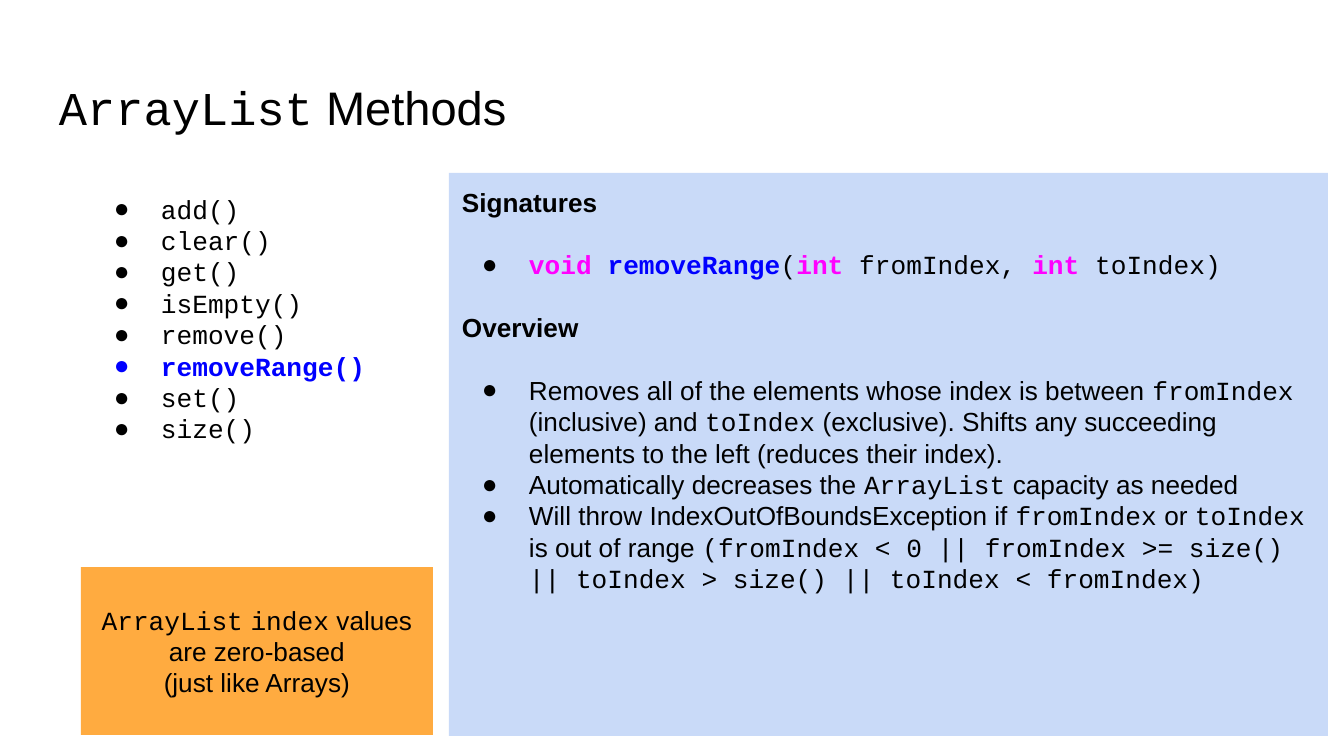
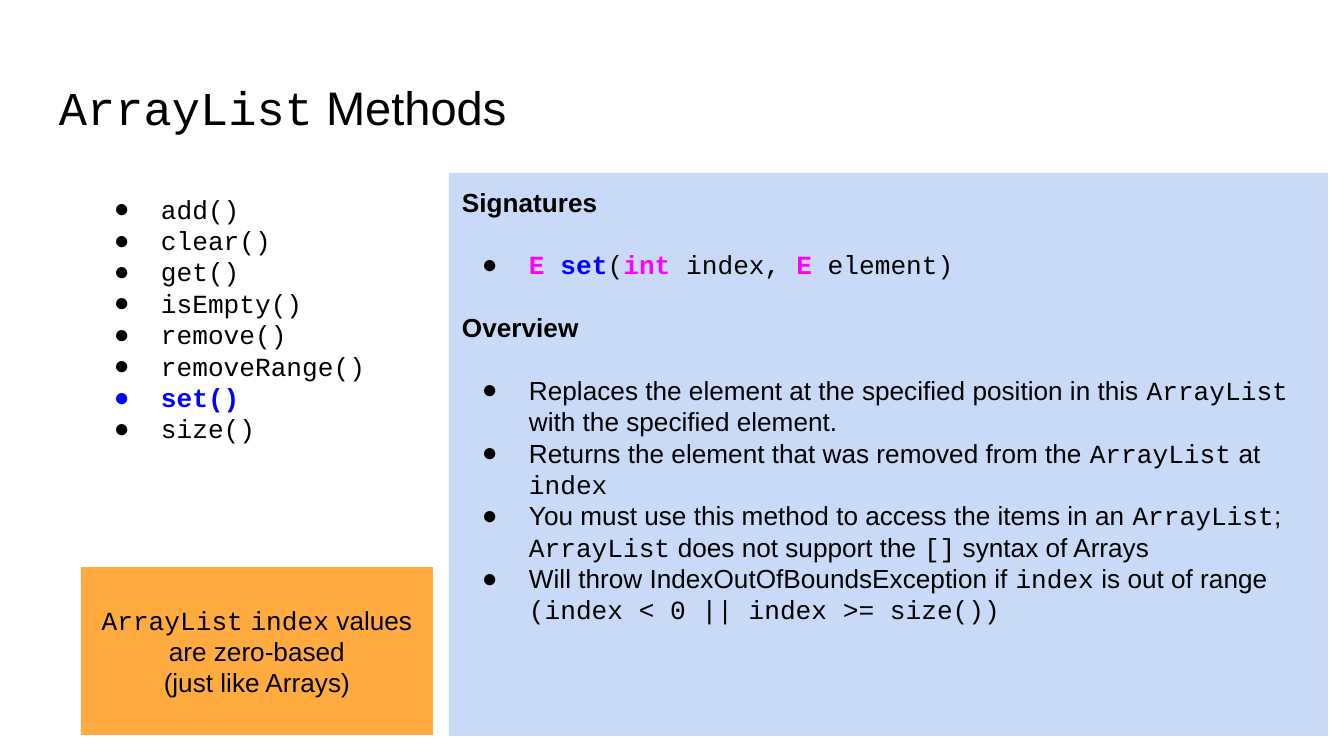
from pptx import Presentation
from pptx.dml.color import RGBColor
from pptx.enum.shapes import MSO_SHAPE
from pptx.enum.text import MSO_ANCHOR, MSO_AUTO_SIZE, PP_ALIGN
from pptx.oxml import parse_xml
from pptx.oxml.ns import nsdecls
from pptx.util import Emu, Pt

COLORS = {"text": "000000", "type": "FF00FF", "name": "0000FF",
          "panel": "C9DAF8", "callout": "FFAB40"}
SANS, CODE = "Arial", "Courier New"
BODY_SIZE, TITLE_SIZE, BLANK_LINE = 14, 25.2, 16.8
MARGIN, INDENT, HANG = 13, 67, 47
METHODS = ["add()", "clear()", "get()", "isEmpty()", "remove()",
           "removeRange()", "set()", "size()"]
PAGES = [
    {"current": "removeRange()",
     "signature": [("void ", "type"), ("removeRange", "name"), ("(", "text"),
                   ("int", "type"), (" fromIndex, ", "text"),
                   ("int", "type"), (" toIndex)", "text")],
     "overview": [
         "Removes all of the elements whose index is between `fromIndex` "
         "(inclusive) and `toIndex` (exclusive). Shifts any succeeding "
         "elements to the left (reduces their index).",
         "Automatically decreases the `ArrayList` capacity as needed",
         "Will throw IndexOutOfBoundsException if `fromIndex` or `toIndex `"
         "is out of range `(fromIndex < 0 || fromIndex >= size() "
         "|| toIndex > size() || toIndex < fromIndex)`"]},
    {"current": "set()",
     "signature": [("E ", "type"), ("set", "name"), ("(", "text"),
                   ("int", "type"), (" index, ", "text"),
                   ("E", "type"), (" element)", "text")],
     "overview": [
         "Replaces the element at the specified position in this `ArrayList` "
         "with the specified element.",
         "Returns the element that was removed from the `ArrayList` at `index`",
         "You must use this method to access the items in an `ArrayList`; "
         "`ArrayList` does not support the `[]` syntax of Arrays",
         "Will throw IndexOutOfBoundsException if `index` is out of range "
         "`(index < 0 || index >= size())`"]},
]


def px(length):
    """Turn pixels of the slide grid into EMU."""
    return Emu(round(length * 914400 / 134.4))


def rgb(color):
    """Return the named colour."""
    return RGBColor.from_string(COLORS[color])


def prepare_frame(shape, anchor=MSO_ANCHOR.TOP):
    """Give a shape's text frame the shared margins and wrapping."""
    frame = shape.text_frame
    frame.word_wrap = True
    frame.vertical_anchor = anchor
    frame.margin_left = frame.margin_right = px(MARGIN)
    frame.margin_top = frame.margin_bottom = px(MARGIN)
    return frame


def add_text_box(slide, box):
    """Add a text box and return its frame."""
    return prepare_frame(slide.shapes.add_textbox(*map(px, box)))


def add_filled_box(slide, box, color, anchor=MSO_ANCHOR.TOP):
    """Add a plain filled rectangle and return its frame."""
    rectangle = slide.shapes.add_shape(MSO_SHAPE.RECTANGLE, *map(px, box))
    rectangle.shadow.inherit = False
    rectangle.fill.solid()
    rectangle.fill.fore_color.rgb = rgb(color)
    rectangle.line.fill.background()
    return prepare_frame(rectangle, anchor)


def add_paragraph(frame, size=BODY_SIZE, align=PP_ALIGN.LEFT, gap=0):
    """Start a paragraph, using the frame's first one while it is empty."""
    first = frame.paragraphs[0]
    paragraph = frame.add_paragraph() if first.runs else first
    paragraph.alignment = align
    paragraph.space_before = Pt(gap)
    paragraph.font.size = Pt(size)
    paragraph.font.color.rgb = rgb("text")
    return paragraph


def add_run(paragraph, text, font, color="text", bold=False):
    """Add a run in the given font, colour and weight."""
    run = paragraph.add_run()
    run.text = text
    run.font.name = font
    run.font.size = paragraph.font.size
    run.font.bold = bold
    run.font.color.rgb = rgb(color)


def add_prose(paragraph, text):
    """Add text whose backticked parts are set in the code font."""
    for index, part in enumerate(text.split("`")):
        if part:
            add_run(paragraph, part, CODE if index % 2 else SANS)


def add_bullet(frame, color="text", gap=0):
    """Start a paragraph with a hanging round bullet."""
    paragraph = add_paragraph(frame, gap=gap)
    properties = paragraph._p.get_or_add_pPr()
    properties.set("marL", str(px(INDENT)))
    properties.set("indent", str(-px(HANG)))
    bullet = (f'<a:buClr {nsdecls("a")}><a:srgbClr val="{COLORS[color]}"/></a:buClr>',
              f'<a:buSzPct {nsdecls("a")} val="100000"/>',
              f'<a:buFont {nsdecls("a")} typeface="{SANS}"/>',
              f'<a:buChar {nsdecls("a")} char="●"/>')
    defaults = properties.find("{*}defRPr")
    for part in bullet:
        defaults.addprevious(parse_xml(part))
    return paragraph


def add_title(slide):
    """Add the shared slide title."""
    frame = add_text_box(slide, (46, 66, 1253, 85))
    add_prose(add_paragraph(frame, TITLE_SIZE), "`ArrayList` Methods")


def add_method_list(slide, current):
    """List the methods with the current one highlighted."""
    frame = add_text_box(slide, (81, 180, 305, 281))
    frame.auto_size = MSO_AUTO_SIZE.SHAPE_TO_FIT_TEXT
    for method in METHODS:
        active = method == current
        color = "name" if active else "text"
        add_run(add_bullet(frame, color), method, CODE, color, active)


def add_details(slide, signature, overview):
    """Add the panel with the method's signature and overview."""
    frame = add_filled_box(slide, (449, 173, 879, 563), "panel")
    add_run(add_paragraph(frame), "Signatures", SANS, bold=True)
    declaration = add_bullet(frame, gap=BLANK_LINE)
    for text, role in signature:
        add_run(declaration, text, CODE, role, role != "text")
    add_run(add_paragraph(frame, gap=BLANK_LINE), "Overview", SANS, bold=True)
    for index, point in enumerate(overview):
        add_prose(add_bullet(frame, gap=0 if index else BLANK_LINE), point)


def add_callout(slide):
    """Add the shared reminder about index values."""
    frame = add_filled_box(slide, (81, 567, 352, 168), "callout", MSO_ANCHOR.MIDDLE)
    reminder = add_paragraph(frame, align=PP_ALIGN.CENTER)
    add_prose(reminder, "`ArrayList` `index` values are zero-based")
    reminder.add_line_break()
    add_prose(reminder, "(just like Arrays)")


def main():
    """Build and save the slides."""
    deck = Presentation()
    deck.slide_width, deck.slide_height = px(1344), px(756)
    for page in PAGES:
        slide = deck.slides.add_slide(deck.slide_layouts[6])
        add_title(slide)
        add_method_list(slide, page["current"])
        add_details(slide, page["signature"], page["overview"])
        add_callout(slide)
    deck.save("out.pptx")


main()
